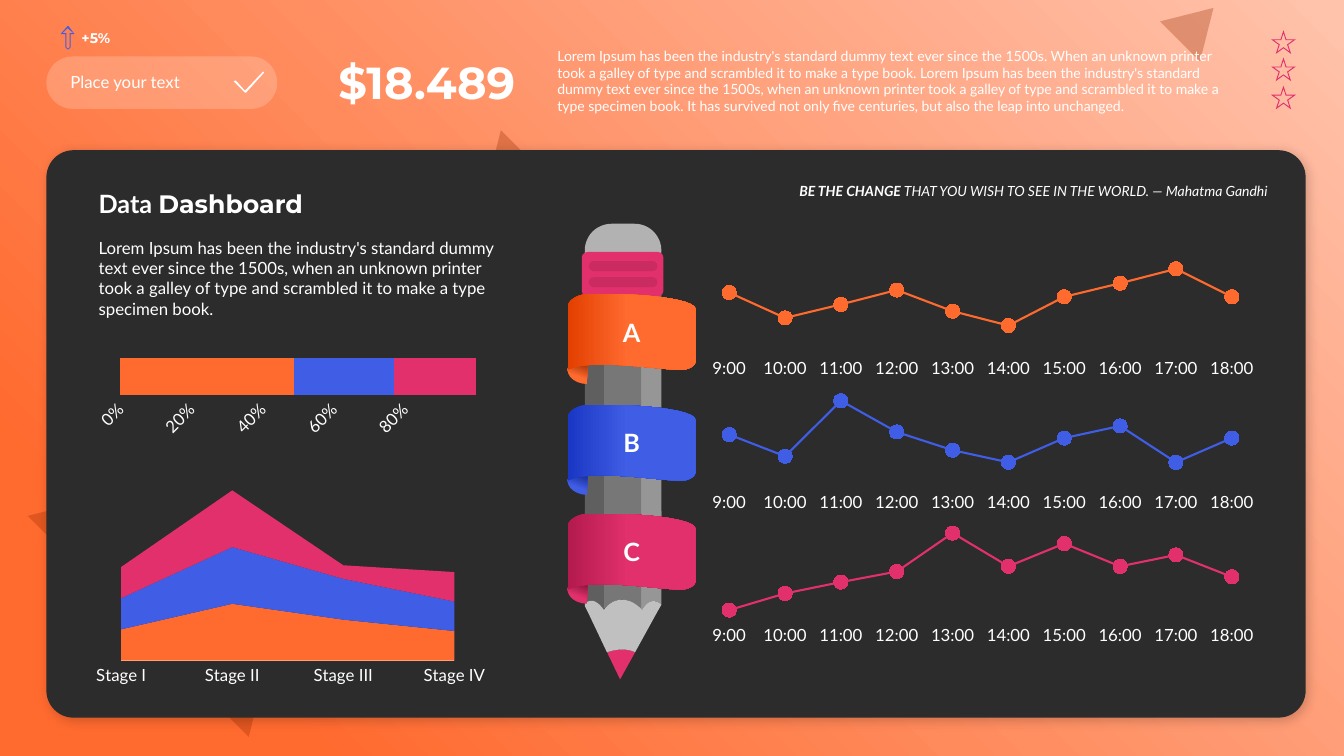
import math

from lxml import etree
from pptx import Presentation
from pptx.chart.data import CategoryChartData
from pptx.dml.color import RGBColor
from pptx.enum.chart import XL_CHART_TYPE, XL_MARKER_STYLE, XL_TICK_MARK
from pptx.enum.shapes import MSO_SHAPE
from pptx.enum.text import MSO_ANCHOR, MSO_AUTO_SIZE, PP_ALIGN
from pptx.oxml import parse_xml
from pptx.oxml.ns import nsdecls, qn
from pptx.util import Pt

PX = 9144
RECT, ROUNDED = MSO_SHAPE.RECTANGLE, MSO_SHAPE.ROUNDED_RECTANGLE
TRIANGLE, CHORD = MSO_SHAPE.ISOSCELES_TRIANGLE, MSO_SHAPE.CHORD
LEFT, CENTER, RIGHT = PP_ALIGN.LEFT, PP_ALIGN.CENTER, PP_ALIGN.RIGHT
TOP, MIDDLE, BOTTOM = MSO_ANCHOR.TOP, MSO_ANCHOR.MIDDLE, MSO_ANCHOR.BOTTOM
AREA, BAR = XL_CHART_TYPE.AREA_STACKED, XL_CHART_TYPE.BAR_STACKED_100
LINE, CIRCLE = XL_CHART_TYPE.LINE_MARKERS, XL_MARKER_STYLE.CIRCLE
NO_TICK = XL_TICK_MARK.NONE

WHITE, BLACK, DARK, RUST = "FFFFFF", "000000", "2C2C2C", "972B00"
ORANGE, BLUE, PINK = "FF6A2F", "405DE6", "E1306C"
ACCENTS = [ORANGE, BLUE, PINK]


def color(value):
    return RGBColor.from_string(value)


def emu(length):
    return round(length * PX)


def flatten(outline, steps=12):
    """Turn an outline of points (x, y) and cubic curves (six numbers) into points only."""
    points = [outline[0]]
    for segment in outline[1:]:
        if len(segment) == 2:
            points.append(segment)
            continue
        controls = [points[-1], segment[:2], segment[2:4], segment[4:]]
        for step in range(1, steps + 1):
            t = step / steps
            weights = ((1 - t) ** 3, 3 * t * (1 - t) ** 2, 3 * t * t * (1 - t), t ** 3)
            points.append(tuple(sum(w * c[axis] for w, c in zip(weights, controls)) for axis in (0, 1)))
    return points


def star(x, y, radius):
    spokes = [(radius * (0.38 if i % 2 else 1), i * math.pi / 5) for i in range(10)]
    return [(x + r * math.sin(a), y - r * math.cos(a)) for r, a in spokes]


class Dashboard:
    font, heading_font = "Lato", "Montserrat"

    def __init__(self, slide):
        self.slide = slide

    def paint(self, shape, fill, alpha=None):
        shape.fill.solid()
        shape.fill.fore_color.rgb = color(fill)
        if alpha:
            value = shape._element.spPr.find(".//" + qn("a:srgbClr"))
            etree.SubElement(value, qn("a:alpha"), val=str(alpha * 1000))
        shape.line.fill.background()
        shape.shadow.inherit = False
        return shape

    def gradient(self, shape, stops, angle=0, circle=False):
        """Fill with (percent, colour) stops, linear or spreading from the top right corner."""
        marks = "".join(f'<a:gs pos="{at * 1000}"><a:srgbClr val="{c}"/></a:gs>' for at, c in stops)
        course = f'<a:lin ang="{angle * 60000}" scaled="0"/>'
        if circle:
            course = '<a:path path="circle"><a:fillToRect l="100000" b="100000"/></a:path>'
        properties = shape._element.spPr
        properties.replace(properties.find(qn("a:solidFill")), parse_xml(
            f'<a:gradFill {nsdecls("a")} rotWithShape="1"><a:gsLst>{marks}</a:gsLst>{course}</a:gradFill>'))

    def shape(self, kind, box, fill, alpha=None, adjustments=(), rotation=0):
        shape = self.slide.shapes.add_shape(kind, *map(emu, box))
        for index, value in enumerate(adjustments):
            shape.adjustments[index] = value
        shape.rotation = rotation
        return self.paint(shape, fill, alpha)

    def freeform(self, fill, *outlines):
        builder = None
        for outline in outlines:
            points = [(emu(x), emu(y)) for x, y in flatten(outline)]
            if builder is None:
                builder = self.slide.shapes.build_freeform(*points[0], scale=1.0)
            else:
                builder.move_to(*points[0])
            builder.add_line_segments(points[1:], close=True)
        return self.paint(builder.convert_to_shape(), fill)

    def shadow(self, shape, alpha, blur, distance, angle):
        shape._element.spPr.find(qn("a:effectLst")).append(parse_xml(
            f'<a:outerShdw {nsdecls("a")} blurRad="{Pt(blur)}" dist="{Pt(distance)}" dir="{angle * 60000}"'
            f' algn="tl" rotWithShape="0"><a:srgbClr val="{BLACK}"><a:alpha val="{alpha * 1000}"/>'
            "</a:srgbClr></a:outerShdw>"))

    def style_run(self, run, size, bold=False, italic=False, font=None):
        run.font.size, run.font.bold, run.font.italic = Pt(size), bold, italic
        run.font.name = font or self.font
        run.font.color.rgb = color(WHITE)

    def fill_frame(self, frame, text, size, align=LEFT, anchor=MIDDLE, **style):
        frame.word_wrap, frame.vertical_anchor = True, anchor
        paragraph = frame.paragraphs[0]
        paragraph.text, paragraph.alignment = text, align
        self.style_run(paragraph.runs[0], size, **style)
        return paragraph

    def text(self, box, text, size, side=10, **style):
        frame = self.slide.shapes.add_textbox(*map(emu, box)).text_frame
        frame.auto_size = MSO_AUTO_SIZE.SHAPE_TO_FIT_TEXT
        frame.margin_left = frame.margin_right = emu(side)
        return self.fill_frame(frame, text, size, **style)

    def chart(self, kind, box, categories, rows, colors, layout, top=None):
        """Layout is the inner plot area as fractions x, y, w, h; top is the axis maximum."""
        data = CategoryChartData()
        data.categories = categories
        for number, row in enumerate(rows, 1):
            data.add_series(f"Series {number}", row)
        chart = self.slide.shapes.add_chart(kind, *map(emu, box), data).chart
        chart.has_legend = chart.has_title = False
        chart.font.size, chart.font.name = Pt(12), self.font
        chart.font.color.rgb = color(WHITE)
        chart.plots[0].vary_by_categories = False
        for axis in (chart.category_axis, chart.value_axis):
            axis.has_major_gridlines = False
            axis.major_tick_mark = axis.minor_tick_mark = NO_TICK
            axis.format.line.fill.background()
        hidden = chart.category_axis if kind == BAR else chart.value_axis
        hidden.visible = False
        if top:
            chart.value_axis.minimum_scale, chart.value_axis.maximum_scale = 0, top
        for series, value in zip(chart.plots[0].series, colors):
            if kind == LINE:
                series.smooth = False
                series.format.line.color.rgb = color(value)
                series.format.line.width = Pt(1.5)
                series.marker.style, series.marker.size = CIRCLE, 10
                series.marker.format.line.color.rgb = color(value)
            target = series.marker if kind == LINE else series
            target.format.fill.solid()
            target.format.fill.fore_color.rgb = color(value)
        plot_area = chart._chartSpace.chart.plotArea
        for old in plot_area.findall(qn("c:layout")):
            plot_area.remove(old)
        sizes = "".join(f'<c:{key} val="{value}"/>' for key, value in zip("xywh", layout))
        plot_area.insert(0, parse_xml(
            f'<c:layout {nsdecls("c")}><c:manualLayout><c:layoutTarget val="inner"/><c:xMode val="edge"/>'
            f'<c:yMode val="edge"/>{sizes}</c:manualLayout></c:layout>'))
        return chart


def draw_header(board):
    backdrop = board.shape(RECT, (0, 0, 1333, 750), ORANGE)
    board.gradient(backdrop, [(0, "FFC3AC"), (85, ORANGE)], circle=True)
    for box, rotation in (((73, 402, 310, 257), 45), ((457, 150, 90, 75), 225), ((1159, 1, 56, 47), 45)):
        board.shape(TRIANGLE, box, RUST, 30, rotation=rotation)
    board.shape(ROUNDED, (46, 56, 229, 52), WHITE, 20, [0.5])
    board.freeform(WHITE, [(262, 72), (261, 71), (243, 90), (234, 80), (233, 80), (232, 81), (243, 92), (244, 92)])
    board.text((60, 66, 188, 30), "Place your text", 12)
    board.text((319, 49, 202, 64), "$18.489", 32, align=RIGHT, bold=True, font=board.heading_font)
    board.text((543, 42, 698, 77), "Lorem Ipsum has been the industry's standard dummy text ever since the 1500s. "
               "When an unknown printer took a galley of type and scrambled it to make a type book. Lorem Ipsum has "
               "been the industry's standard dummy text ever since the 1500s, when an unknown printer took a galley "
               "of type and scrambled it to make a type specimen book. It has survived not only five centuries, but "
               "also the leap into unchanged.", 10, anchor=TOP).space_after = Pt(6)
    board.text((74, 24, 42, 27), "+5%", 10, side=0, align=CENTER, anchor=TOP, bold=True, font=board.heading_font)
    board.freeform(BLUE, [(74, 34), (68, 26), (67, 26), (60, 34), (65, 34), (65, 47), (67, 49), (68, 49), (70, 47),
                          (70, 34)],
                   [(69, 33), (69, 47), (68, 48), (67, 48), (66, 47), (66, 33), (62, 33), (67, 28), (73, 33)])
    for y in (98, 70, 43):
        board.freeform(PINK, star(1273, y, 13), star(1273, y, 10))


def draw_left_column(board):
    board.shadow(board.shape(ROUNDED, (46, 149, 1249, 563), DARK, adjustments=[0.048]), 20, 8, 3, 45)
    stages = ["Stage I", "Stage II", "Stage III", "Stage IV"]
    rows = [(55, 100, 72, 52), (55, 100, 72, 52), (55, 100, 24, 52)]
    area = board.chart(AREA, (88, 464, 403, 220), stages, rows, ACCENTS, (0.08, 0, 0.82, 0.87), 340)
    area.category_axis.format.line.color.rgb = color(WHITE)
    area.category_axis.format.line.width = Pt(0.75)
    board.text((88, 231, 433, 91), "Lorem Ipsum has been the industry's standard dummy text ever since the 1500s, "
               "when an unknown printer took a galley of type and scrambled it to make a type specimen book.", 12,
               anchor=TOP)
    title = board.text((88, 182, 433, 40), "Data ", 18, anchor=BOTTOM, bold=True)
    title.add_run().text = "Dashboard"
    board.style_run(title.runs[1], 18, bold=True, font=board.heading_font)
    bar = board.chart(BAR, (87, 353, 401, 89), ["1"], [[49], [28], [23]], ACCENTS, (0.08, 0.03, 0.88, 0.41))
    bar.plots[0].gap_width, bar.plots[0].overlap = 0, 100
    labels = bar.value_axis.tick_labels
    labels.number_format, labels.number_format_is_linked = "0%", False
    labels.font.size = Pt(12)
    bar.value_axis._element.txPr.find(qn("a:bodyPr")).set("rot", "-2700000")


def draw_pencil(board):
    board.freeform(PINK, [(630, 647), (615, 674), (602, 647), (603, 647, 617, 641, 630, 647)])
    board.freeform("969696", [(637, 605), (636, 604), (636, 507), (656, 507), (656, 600),
                              (656, 600, 646, 589, 637, 605)])
    board.freeform("777777", [(617, 595), (607, 595, 601, 602, 599, 604), (599, 507), (636, 507), (636, 604),
                              (634, 602, 627, 595, 617, 595)])
    board.freeform("5F5F5F", [(599, 605), (599, 605, 593, 596, 587, 596), (583, 596, 581, 598, 580, 599),
                              (580, 507), (599, 507)])
    board.freeform("C0C0C0", [(587, 596), (593, 596, 599, 605, 599, 605), (601, 602, 607, 595, 617, 595),
                              (627, 595, 634, 602, 636, 604), (637, 605), (646, 589, 656, 600, 656, 600), (652, 607),
                              (630, 647), (617, 641, 603, 647, 602, 647), (583, 607), (580, 601), (580, 599),
                              (581, 598, 583, 596, 587, 596)])
    for x, width, fill in ((636, 20, "969696"), (599, 37, "777777"), (580, 19, "5F5F5F")):
        board.shape(RECT, (x, 289, width, 228), fill)
    board.shape(RECT, (580, 285, 76, 14), BLACK, 20)
    board.shape(ROUNDED, (580, 222, 76, 53), "B2B2B2", adjustments=[0.5])
    board.shape(ROUNDED, (577, 250, 81, 44), PINK, adjustments=[0.128])
    for y in (259, 275):
        board.shape(ROUNDED, (584, y, 68, 10), BLACK, 10, [0.5])


def draw_ribbon(board, letter, y, main_color, shade, deep):
    curl = board.shape(CHORD, (563, y + 61, 39, 28), main_color, adjustments=[54.609, 162])
    board.gradient(curl, [(27, main_color), (69, deep)], 290)
    ribbon = board.freeform(main_color, [
        (690, y + 15), (691, y + 4, 630, y - 2, 580, y), (572, y + 1, 563, y + 6, 563, y + 12), (563, y + 75),
        (585, y + 63, 654, y + 75, 675, y + 75), (683, y + 75, 690, y + 71, 690, y + 66)])
    board.gradient(ribbon, [(0, shade), (47, main_color)])
    board.fill_frame(ribbon.text_frame, letter, 18, align=CENTER, bold=True)


def main():
    presentation = Presentation()
    presentation.slide_width, presentation.slide_height = emu(1333), emu(750)
    board = Dashboard(presentation.slides.add_slide(presentation.slide_layouts[6]))
    draw_header(board)
    draw_left_column(board)
    draw_pencil(board)
    for ribbon in (("C", 510, PINK, "B31A4E", "771134"), ("B", 402, BLUE, "1A37C3", "112582"),
                   ("A", 292, ORANGE, "E24000", RUST)):
        draw_ribbon(board, *ribbon)
    quote = board.text((560, 176, 701, 27), "BE THE CHANGE ", 10, side=4, align=RIGHT, bold=True, italic=True)
    quote.add_run().text = "THAT YOU WISH TO SEE IN THE WORLD. ― Mahatma Gandhi"
    board.style_run(quote.runs[1], 10, italic=True)
    hours = [f"{hour}:00" for hour in range(9, 19)]
    trends = ((250, 120, (72, 42, 58, 75, 50, 33, 67, 83, 100, 67)),
              (383, 117, (61, 36, 100, 64, 43, 29, 57, 71, 29, 57)),
              (515, 116, (12, 31, 44, 56, 100, 62, 88, 62, 75, 50)))
    for (y, top, values), accent in zip(trends, ACCENTS):
        board.chart(LINE, (684, y, 577, 126), hours, [values], [accent], (0.02, 0, 0.96, 0.8), top)
    presentation.save("out.pptx")


if __name__ == "__main__":
    main()
